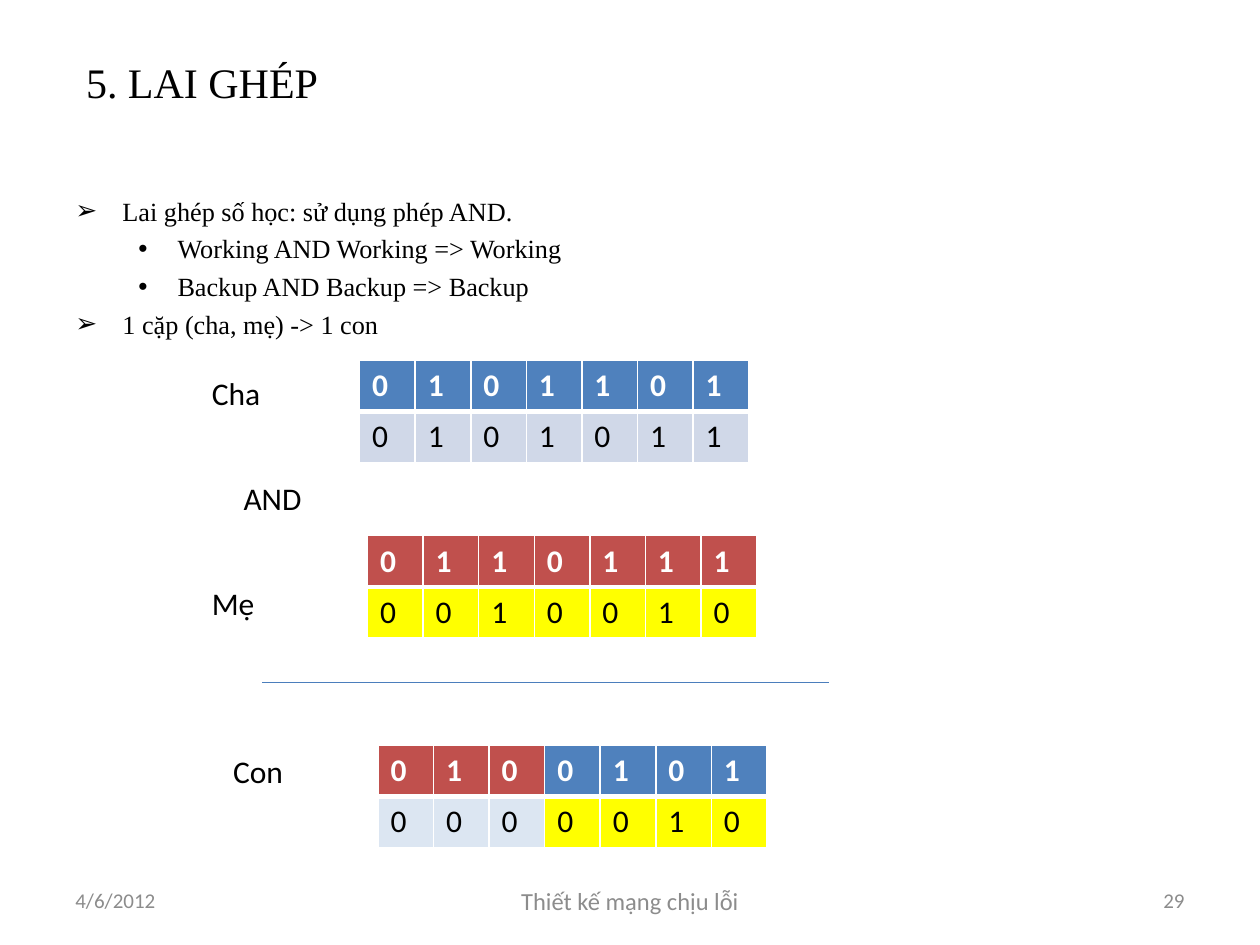
from lxml.etree import SubElement
from pptx import Presentation
from pptx.dml.color import RGBColor
from pptx.enum.shapes import MSO_CONNECTOR as Connector
from pptx.enum.text import MSO_ANCHOR as Anchor, PP_ALIGN as Align
from pptx.oxml import parse_xml
from pptx.oxml.ns import nsdecls, qn
from pptx.util import Cm, Pt

SERIF, SANS = "Times New Roman", "Calibri"
BLACK, WHITE, GRAY = "000000", "FFFFFF", "8C8C8C"
BLUE, RED, YELLOW = "4F81BD", "C0504D", "FFFF00"
PALE_BLUE, LIGHT_BLUE = "D0D8E8", "DCE6F2"
COLUMN_WIDTH, ROW_HEIGHT = 1.12, 1.03


def color(value):
    """Turn a hex string into a colour."""
    return RGBColor.from_string(value)


def add_run(paragraph, text, size, font=SANS, fill=BLACK, bold=False):
    """Append a formatted run to a paragraph."""
    run = paragraph.add_run()
    run.text = text
    run.font.size = Pt(size)
    run.font.name = font
    run.font.bold = bold
    run.font.color.rgb = color(fill)


def add_title(slide, text):
    """Place and fill the title placeholder."""
    title = slide.shapes.title
    title.left, title.top, title.width, title.height = Cm(1.48), Cm(0.76), Cm(22.66), Cm(1.78)
    title.text_frame.vertical_anchor = Anchor.MIDDLE
    paragraph = title.text_frame.paragraphs[0]
    paragraph.alignment = Align.LEFT
    add_run(paragraph, text, 24, SERIF)


def add_box(slide, left, top, width, height, anchor=Anchor.TOP):
    """Add a wrapping text box and return its text frame."""
    box = slide.shapes.add_textbox(Cm(left), Cm(top), Cm(width), Cm(height))
    frame = box.text_frame
    frame.word_wrap = True
    frame.vertical_anchor = anchor
    return frame


def add_label(slide, text, left, top, width=2.54, height=1.02):
    """Add the name beside a table."""
    add_run(add_box(slide, left, top, width, height).paragraphs[0], text, 18)


def add_footer(slide, text, left, width, size, alignment):
    """Add one gray text of the footer row."""
    paragraph = add_box(slide, left, 17.65, width, 1.01, Anchor.MIDDLE).paragraphs[0]
    paragraph.alignment = alignment
    add_run(paragraph, text, size, fill=GRAY)


def set_bullet(paragraph, level):
    """Give a paragraph the bullet and indent of its level."""
    character, margin, indent = (("➢", 0.95, -0.95), ("•", 2.06, -0.79))[level]
    paragraph.level = level
    properties = paragraph._p.get_or_add_pPr()
    properties.set("marL", str(Cm(margin)))
    properties.set("indent", str(Cm(indent)))
    SubElement(properties, qn("a:buFont"), typeface="Arial")
    SubElement(properties, qn("a:buChar"), char=character)


def add_bullets(slide, items):
    """Add the bulleted list."""
    frame = add_box(slide, 1.27, 3.81, 22.86, 2.97)
    for index, (level, text) in enumerate(items):
        paragraph = frame.add_paragraph() if index else frame.paragraphs[0]
        paragraph.space_before = Pt(3.5)
        set_bullet(paragraph, level)
        add_run(paragraph, text, 15, SERIF)


def set_borders(cell, top, bottom):
    """Draw white borders around a cell."""
    properties = cell._tc.get_or_add_tcPr()
    sides = (("lnL", 1), ("lnR", 1), ("lnT", top), ("lnB", bottom))
    for index, (side, width) in enumerate(sides):
        properties.insert(index, parse_xml(
            f'<a:{side} {nsdecls("a")} w="{Pt(width)}"><a:solidFill>'
            f'<a:srgbClr val="{WHITE}"/></a:solidFill></a:{side}>'))


def add_genes(slide, left, top, rows, fills):
    """Add a two-row table of bits, with a fill for each cell."""
    count = len(rows[0])
    table = slide.shapes.add_table(
        2, count, Cm(left), Cm(top), Cm(COLUMN_WIDTH * count), Cm(ROW_HEIGHT * 2)).table
    for row_index, (bits, row_fills) in enumerate(zip(rows, fills)):
        header = row_index == 0
        for column, (bit, fill) in enumerate(zip(bits, row_fills)):
            cell = table.cell(row_index, column)
            cell.fill.solid()
            cell.fill.fore_color.rgb = color(fill)
            set_borders(cell, 1 if header else 3, 3 if header else 1)
            add_run(cell.text_frame.paragraphs[0], bit, 18,
                    fill=WHITE if header else BLACK, bold=header)


def add_rule(slide, left, right, top):
    """Add the horizontal line above the result."""
    line = slide.shapes.add_connector(Connector.STRAIGHT, Cm(left), Cm(top), Cm(right), Cm(top))
    line.line.color.rgb = color("4B7EBC")
    line.line.width = Pt(0.75)
    SubElement(line._element.spPr, qn("a:effectLst"))


def main():
    """Build and save the slide."""
    presentation = Presentation()
    presentation.slide_width, presentation.slide_height = Cm(25.4), Cm(19.05)
    slide = presentation.slides.add_slide(presentation.slide_layouts[5])
    add_title(slide, "5. LAI GHÉP")
    add_bullets(slide, [
        (0, "Lai ghép số học: sử dụng phép AND."),
        (1, "Working AND Working => Working"),
        (1, "Backup AND Backup => Backup"),
        (0, "1 cặp (cha, mẹ) -> 1 con"),
    ])
    add_footer(slide, "4/6/2012", 1.27, 5.93, 12, Align.LEFT)
    add_footer(slide, "Thiết kế mạng chịu lỗi", 8.68, 8.04, 14, Align.CENTER)
    add_footer(slide, "29", 18.2, 5.93, 12, Align.RIGHT)
    add_genes(slide, 7.25, 7.26, ("0101101", "0101011"), ([BLUE] * 7, [PALE_BLUE] * 7))
    add_genes(slide, 7.41, 10.8, ("0110111", "0010010"), ([RED] * 7, [YELLOW] * 7))
    add_genes(slide, 7.62, 15.03, ("0100101", "0000010"),
              ([RED] * 3 + [BLUE] * 4, [LIGHT_BLUE] * 3 + [YELLOW] * 4))
    add_label(slide, "Cha", 4.02, 7.41)
    add_label(slide, "Mẹ", 4.02, 11.64)
    add_label(slide, "AND", 4.66, 9.53, 2.33, 1.06)
    add_label(slide, "Con", 4.45, 15.03)
    add_rule(slide, 5.29, 16.72, 13.76)
    presentation.save("out.pptx")


if __name__ == "__main__":
    main()
